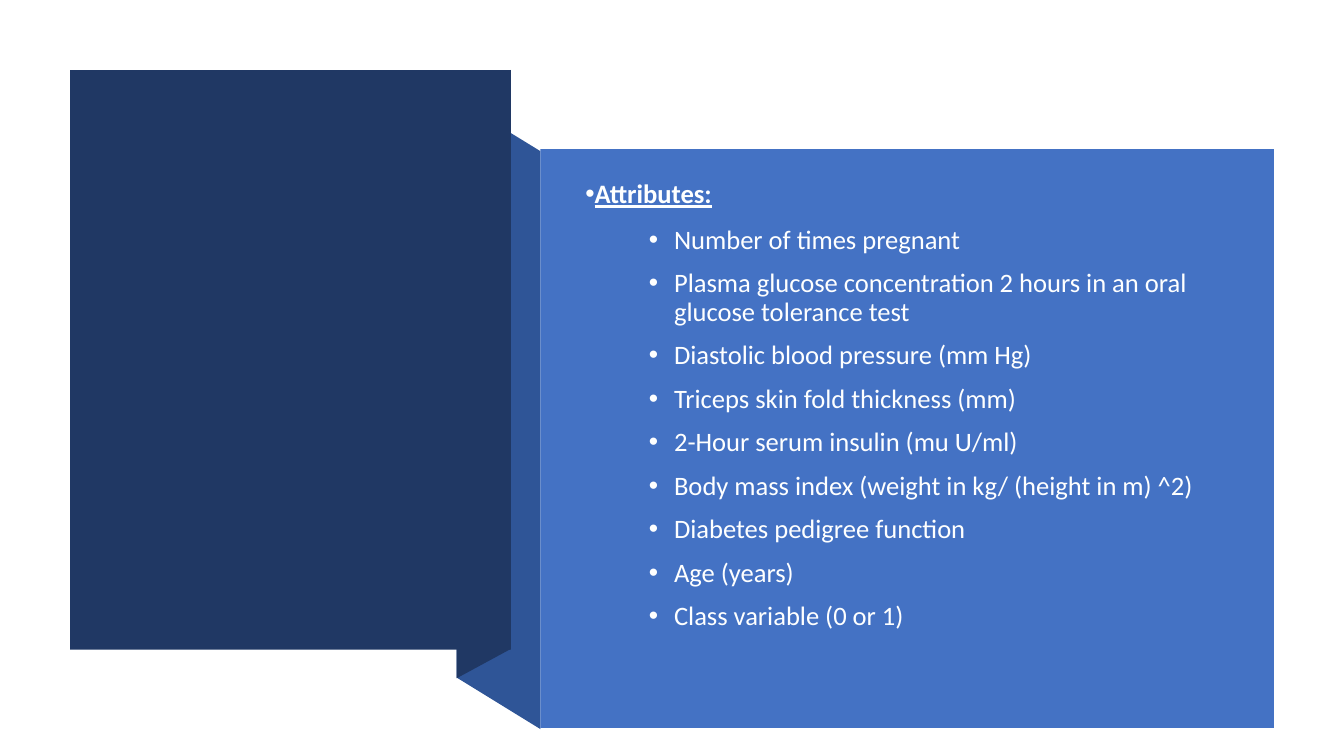
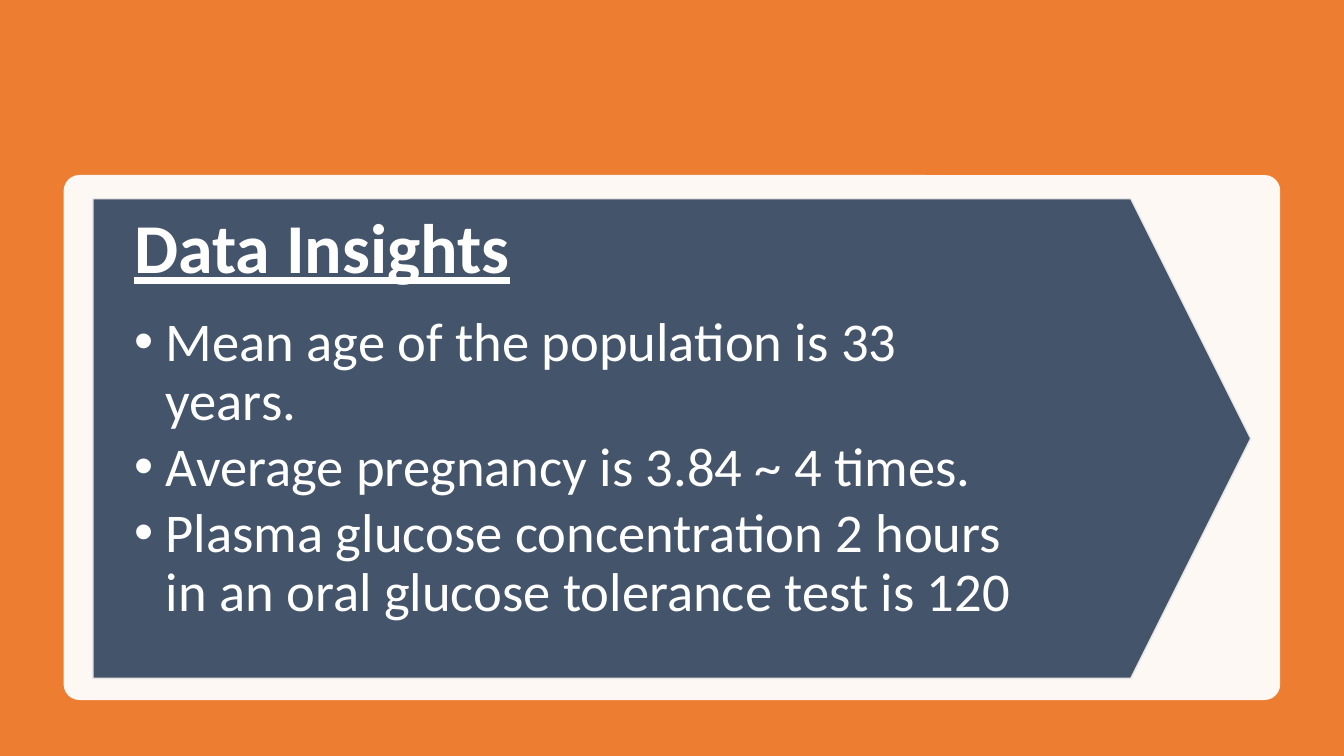
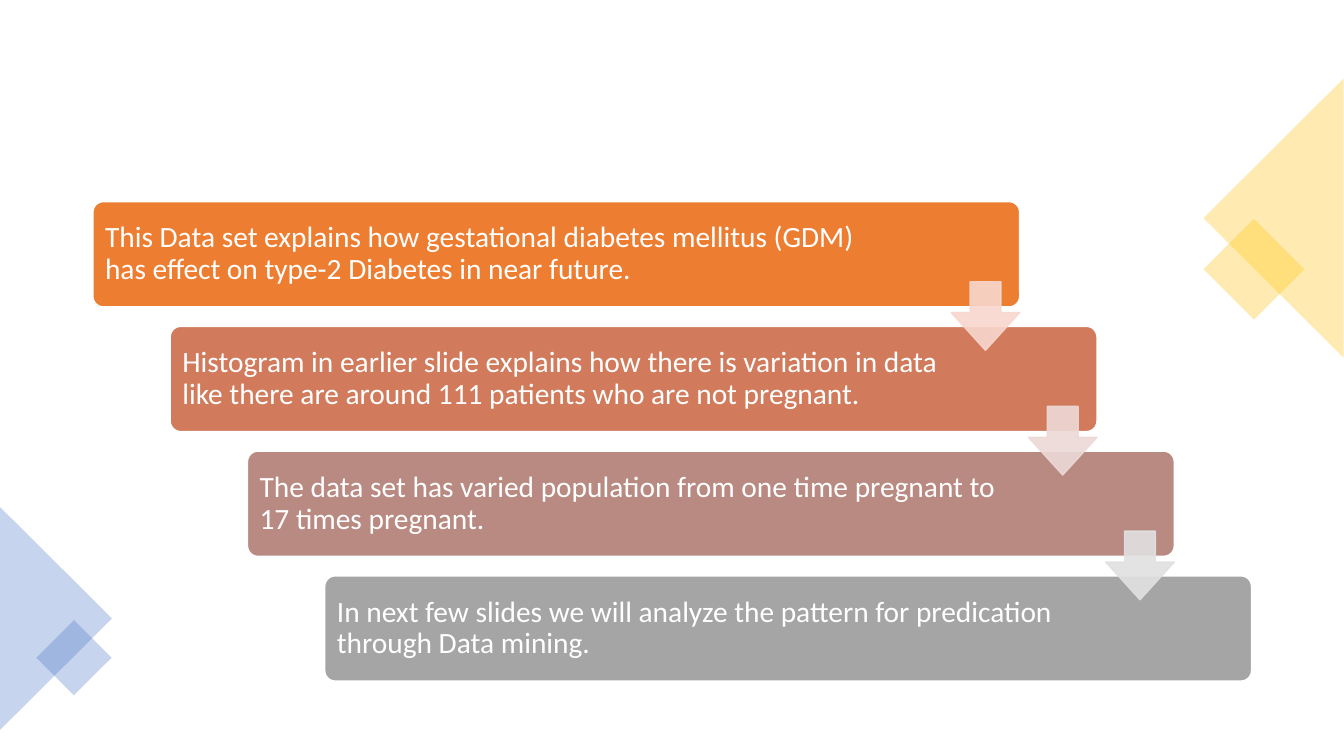
from dataclasses import dataclass

from lxml import etree
from pptx import Presentation
from pptx.dml.color import RGBColor
from pptx.enum.shapes import MSO_SHAPE
from pptx.enum.text import MSO_ANCHOR, MSO_AUTO_SIZE, PP_ALIGN
from pptx.oxml.ns import qn
from pptx.util import Pt

RECT = MSO_SHAPE.RECTANGLE
ROUND = MSO_SHAPE.ROUNDED_RECTANGLE
TRIANGLE = MSO_SHAPE.ISOSCELES_TRIANGLE
PLATE = MSO_SHAPE.PENTAGON
ARROW = MSO_SHAPE.DOWN_ARROW
TOP, MIDDLE = MSO_ANCHOR.TOP, MSO_ANCHOR.MIDDLE
LEFT = PP_ALIGN.LEFT
NO_FIT = MSO_AUTO_SIZE.NONE
TITLE_ONLY, BLANK = 5, 6


@dataclass(frozen=True)
class Theme:
    font: str = "Calibri"
    white: str = "FFFFFF"
    paper: str = "FEFFFF"
    blue: str = "4472C4"
    shade: str = "2F5597"
    navy: str = "203864"
    orange: str = "ED7D31"
    gold: str = "FFC000"
    slate: str = "44546A"
    pale: str = "E7E6E6"
    title: float = 50
    body: float = 39
    step: float = 21
    list: float = 19


THEME = Theme()


@dataclass(frozen=True)
class Box:
    left: float
    top: float
    width: float
    height: float


@dataclass(frozen=True)
class Look:
    fill: str
    alpha: int = 100
    line: str = ""


@dataclass(frozen=True)
class Para:
    text: str
    size: float
    color: str = THEME.white
    strong: bool = False
    bullet: bool = False
    level: int = 0
    margin: float = 0
    hang: float = 0
    before: float = 0
    after: float = 0


@dataclass(frozen=True)
class Gem:
    kind: int
    box: Box
    turn: float
    color: str


@dataclass(frozen=True)
class Step:
    text: str
    fill: str
    right: float
    arrow: str = ""


# Shared drawing functions
def fade(paint, alpha: int) -> None:
    """Give a solid fill the stated opacity in percent."""
    if alpha < 100:
        color = paint._xPr.find(qn("a:solidFill"))[0]
        etree.SubElement(color, qn("a:alpha"), val=str(alpha * 1000))


def style(shape, look: Look) -> None:
    shape.shadow.inherit = False
    shape.fill.solid()
    shape.fill.fore_color.rgb = RGBColor.from_string(look.fill)
    fade(shape.fill, look.alpha)
    if look.line:
        shape.line.width = Pt(1)
        shape.line.color.rgb = RGBColor.from_string(look.line)
        fade(shape.line.fill, look.alpha)
    else:
        shape.line.fill.background()


def place(shape, box: Box) -> None:
    shape.left, shape.top = Pt(box.left), Pt(box.top)
    shape.width, shape.height = Pt(box.width), Pt(box.height)


def block(slide, kind, box: Box, look: Look, adjust=(), turn: float = 0):
    shape = slide.shapes.add_shape(
        kind, Pt(box.left), Pt(box.top), Pt(box.width), Pt(box.height))
    for i, value in enumerate(adjust):
        shape.adjustments[i] = value
    shape.rotation = turn
    style(shape, look)
    return shape


def outline(slide, points, look: Look) -> None:
    spots = [(Pt(x), Pt(y)) for x, y in points]
    pen = slide.shapes.build_freeform(*spots[0])
    pen.add_line_segments(spots[1:], close=True)
    style(pen.convert_to_shape(), look)


def write(shape, paras, anchor=TOP, inset=(0, 0, 0, 0)) -> None:
    frame = shape.text_frame
    frame.word_wrap = True
    frame.auto_size = NO_FIT
    frame.vertical_anchor = anchor
    (frame.margin_left, frame.margin_top,
     frame.margin_right, frame.margin_bottom) = map(Pt, inset)
    for i, item in enumerate(paras):
        para = frame.add_paragraph() if i else frame.paragraphs[0]
        para.alignment = LEFT
        para.level = item.level
        para.line_spacing = 0.9
        para.space_before = Pt(item.before)
        para.space_after = Pt(item.after)
        if item.bullet:
            props = para._p.get_or_add_pPr()
            props.set("marL", str(Pt(item.margin)))
            props.set("indent", str(Pt(-item.hang)))
            etree.SubElement(props, qn("a:buFont"), typeface="Arial")
            etree.SubElement(props, qn("a:buChar"), char="•")
        run = para.add_run()
        run.text = item.text
        font = run.font
        font.name, font.size = THEME.font, Pt(item.size)
        font.bold = font.underline = item.strong
        font.color.rgb = RGBColor.from_string(item.color)


def label(slide, box: Box, paras, inset=(0, 0, 0, 0)) -> None:
    shape = slide.shapes.add_textbox(0, 0, 0, 0)
    place(shape, box)
    write(shape, paras, inset=inset)


# Slide 1: folded panel with the attribute list
TRAITS = (
    "Number of times pregnant",
    "Plasma glucose concentration 2 hours in an oral glucose tolerance test",
    "Diastolic blood pressure (mm Hg)",
    "Triceps skin fold thickness (mm)",
    "2-Hour serum insulin (mu U/ml)",
    "Body mass index (weight in kg/ (height in m) ^2)",
    "Diabetes pedigree function",
    "Age (years)",
    "Class variable (0 or 1)",
)


def traits(deck) -> None:
    slide = deck.slides.add_slide(deck.slide_layouts[BLANK])
    outline(slide, [(386, 520.8), (326.2, 484), (326.2, 71.3), (386, 108)],
            Look(THEME.shade))
    outline(slide, [(364.6, 463.7), (326.2, 484.5), (326.2, 70.6), (364.6, 50)],
            Look(THEME.navy))
    block(slide, RECT, Box(50, 50, 315, 414), Look(THEME.navy))
    block(slide, RECT, Box(386, 106.6, 524, 413.4), Look(THEME.blue))
    head = Para("Attributes:", THEME.list, THEME.paper, strong=True,
                bullet=True, hang=18, after=12)
    rows = [Para(text, THEME.list, THEME.paper, bullet=True, level=1,
                 margin=63.4, hang=18, before=3 if i else 0, after=7.5)
            for i, text in enumerate(TRAITS)]
    label(slide, Box(411, 125.6, 469, 350), [head, *rows],
          (7.2, 3.6, 7.2, 3.6))


# Slide 2: insights on a pointed plate
FACTS = (
    "Mean age of the population is 33 years.",
    "Average pregnancy is 3.84 ~ 4 times.",
    "Plasma glucose concentration 2 hours in an oral glucose tolerance test is 120",
)


def facts(deck) -> None:
    slide = deck.slides.add_slide(deck.slide_layouts[TITLE_ONLY])
    back = slide.background.fill
    back.solid()
    back.fore_color.rgb = RGBColor.from_string(THEME.orange)
    block(slide, ROUND, Box(45.5, 125, 869, 375), Look(THEME.white, 95), [0.03])
    block(slide, PLATE, Box(66.4, 142, 827, 342.6),
          Look(THEME.slate, line=THEME.pale), [0.25])
    # The title goes in front of the plate
    title = slide.shapes.title
    slide.shapes.element.append(title.element)
    place(title, Box(95.8, 152, 638, 60))
    write(title, [Para("Data Insights", THEME.title, strong=True)])
    label(slide, Box(95.8, 224.5, 638, 240),
          [Para(text, THEME.body, bullet=True, margin=22.5, hang=22.5,
                after=5.2) for text in FACTS])


# Slide 3: stair of steps between corner gems
GEMS = (
    Gem(RECT, Box(870.2, 166.8, 51, 51), 45, THEME.gold),
    Gem(TRIANGLE, Box(810, 105.8, 199.4, 100), 270, THEME.gold),
    Gem(TRIANGLE, Box(-39.6, 401.8, 159.2, 80), 90, THEME.blue),
    Gem(RECT, Box(33.8, 450.8, 38, 38), 45, THEME.blue),
)
STEPS = (
    Step("This Data set explains how gestational diabetes mellitus (GDM) has"
         " effect on type-2 Diabetes in near future.",
         THEME.orange, 90, "F8D7CE"),
    Step("Histogram in earlier slide explains how there is variation in data"
         " like there are around 111 patients who are not pregnant.",
         "D17B5C", 111, "EDD9D7"),
    Step("The data set has varied population from one time pregnant to"
         " 17 times pregnant.", "B98A82", 111, "E1E1E1"),
    Step("In next few slides we will analyze the pattern for predication"
         " through Data mining.", "A5A5A5", 111),
)


def stair(deck) -> None:
    slide = deck.slides.add_slide(deck.slide_layouts[BLANK])
    for gem in GEMS:
        block(slide, gem.kind, gem.box, Look(gem.color, 30), turn=gem.turn)
    boxes = [Box(66.4 + 55.2 * i, 144 + 89.1 * i, 662, 75.2)
             for i in range(len(STEPS))]
    for step, box in zip(STEPS, boxes):
        bar = block(slide, ROUND, box, Look(step.fill, line=THEME.white), [0.1])
        write(bar, [Para(step.text, THEME.step)], MIDDLE,
              (6.5, 6.5, step.right, 6.5))
    for step, box in zip(STEPS, boxes):
        if step.arrow:
            spot = Box(box.left + box.width - 49, box.top + 57.2, 49, 49)
            block(slide, ARROW, spot, Look(step.arrow, 90, step.arrow),
                  [0.45, 0.55])


def main() -> None:
    deck = Presentation()
    deck.slide_width, deck.slide_height = Pt(960), Pt(540)
    traits(deck)
    facts(deck)
    stair(deck)
    deck.save("out.pptx")


if __name__ == "__main__":
    main()
